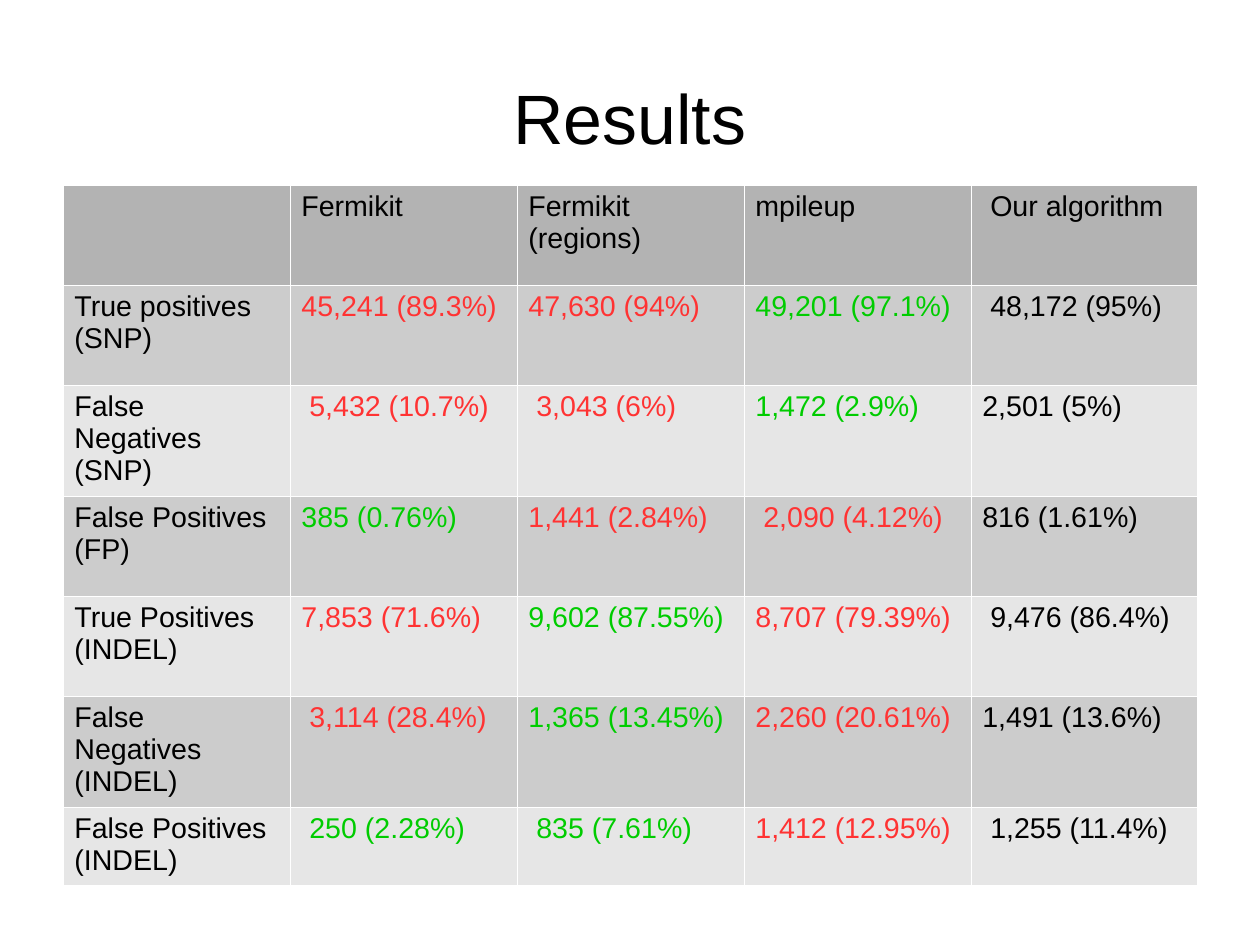
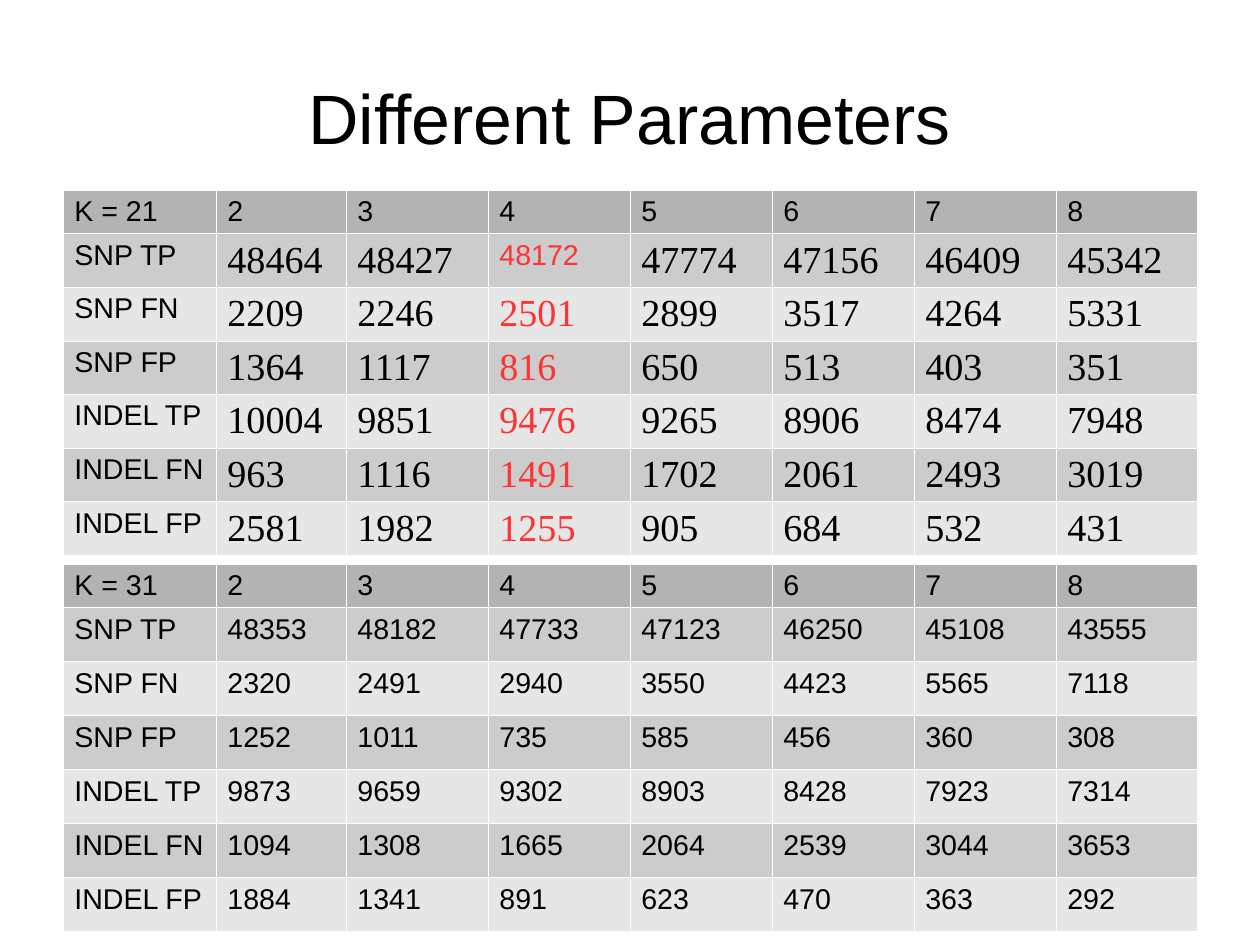
import pptx
import pptx.util
import pptx.dml.color
import pptx.enum.text
import pptx.oxml
import pptx.oxml.ns

RGB = pptx.dml.color.RGBColor
BLACK = RGB(0x00, 0x00, 0x00)
WHITE = RGB(0xFF, 0xFF, 0xFF)
RED = RGB(0xFF, 0x33, 0x33)
GREEN = RGB(0x00, 0xCC, 0x00)
HEAD = RGB(0xB3, 0xB3, 0xB3)
BANDS = (RGB(0xE6, 0xE6, 0xE6), RGB(0xCC, 0xCC, 0xCC))
SANS = "Arial"
SERIF = "Times New Roman"

# Content: scores of each caller, then scores by parameter
CALLERS = [
    ("", "Fermikit", "Fermikit (regions)", "mpileup", " Our algorithm"),
    ("True positives (SNP)", "45,241 (89.3%)", "47,630 (94%)",
     "49,201 (97.1%)", " 48,172 (95%)"),
    ("False Negatives (SNP)", " 5,432 (10.7%)", " 3,043 (6%)",
     "1,472 (2.9%)", "2,501 (5%)"),
    ("False Positives (FP)", "385 (0.76%)", "1,441 (2.84%)",
     " 2,090 (4.12%)", "816 (1.61%)"),
    ("True Positives (INDEL)", "7,853 (71.6%)", "9,602 (87.55%)",
     "8,707 (79.39%)", " 9,476 (86.4%)"),
    ("False Negatives (INDEL)", " 3,114 (28.4%)", "1,365 (13.45%)",
     "2,260 (20.61%)", "1,491 (13.6%)"),
    ("False Positives (INDEL)", " 250 (2.28%)", " 835 (7.61%)",
     "1,412 (12.95%)", " 1,255 (11.4%)"),
]
# One letter a cell: k black, r red (worse), g green (better)
MARKS = ("kkkkk", "krrgk", "krrgk", "kgrrk", "krgrk", "krgrk", "kggrk")
INKS = {"k": BLACK, "r": RED, "g": GREEN}

STEPS = (2, 3, 4, 5, 6, 7, 8)
NAMES = ("SNP TP", "SNP FN", "SNP FP", "INDEL TP", "INDEL FN", "INDEL FP")
K21 = [
    (48464, 48427, 48172, 47774, 47156, 46409, 45342),
    (2209, 2246, 2501, 2899, 3517, 4264, 5331),
    (1364, 1117, 816, 650, 513, 403, 351),
    (10004, 9851, 9476, 9265, 8906, 8474, 7948),
    (963, 1116, 1491, 1702, 2061, 2493, 3019),
    (2581, 1982, 1255, 905, 684, 532, 431),
]
K31 = [
    (48353, 48182, 47733, 47123, 46250, 45108, 43555),
    (2320, 2491, 2940, 3550, 4423, 5565, 7118),
    (1252, 1011, 735, 585, 456, 360, 308),
    (9873, 9659, 9302, 8903, 8428, 7923, 7314),
    (1094, 1308, 1665, 2064, 2539, 3044, 3653),
    (1884, 1341, 891, 623, 470, 363, 292),
]

# Shared layout, in pixels
LEFT, WIDE = 63, 1134
CALL_COLS = [227] * 4 + [226]
CALL_ROWS = [100, 100, 111, 100, 100, 111, 78]
STEP_COLS = [153, 130] + [142] * 5 + [141]


def px(n):
    return pptx.util.Emu(n * 8000)


def ink(par, face, size, color):
    par.font.name = face
    par.font.size = pptx.util.Pt(size)
    par.font.color.rgb = color


def add_page(deck, text):
    page = deck.slides.add_slide(deck.slide_layouts[5])
    title = page.shapes.title
    title.left, title.top = px(LEFT), px(38)
    title.width, title.height = px(WIDE), px(158)
    frame = title.text_frame
    frame.text = text
    frame.auto_size = pptx.enum.text.MSO_AUTO_SIZE.NONE
    frame.vertical_anchor = pptx.enum.text.MSO_ANCHOR.MIDDLE
    frame.margin_left = frame.margin_right = 0
    frame.margin_top = frame.margin_bottom = 0
    par = frame.paragraphs[0]
    par.alignment = pptx.enum.text.PP_ALIGN.CENTER
    ink(par, SANS, 44, BLACK)
    return page


def rule(cell):
    """Draw thin white borders; they must precede the fill."""
    props = cell._tc.get_or_add_tcPr()
    for i, side in enumerate(("lnL", "lnR", "lnT", "lnB")):
        line = pptx.oxml.parse_xml(
            f'<a:{side} {pptx.oxml.ns.nsdecls("a")} w="762"><a:solidFill>'
            f'<a:srgbClr val="{WHITE}"/></a:solidFill></a:{side}>')
        props.insert(i, line)


def add_grid(page, top, cols, rows, data, style):
    """style(row, col) gives the face, size and colour of a cell."""
    grid = page.shapes.add_table(
        len(rows), len(cols), px(LEFT), px(top),
        px(sum(cols)), px(sum(rows))).table
    grid.first_row = grid.horz_banding = False
    for col, width in zip(grid.columns, cols):
        col.width = px(width)
    for row, height in zip(grid.rows, rows):
        row.height = px(height)
    for r, line in enumerate(data):
        for c, text in enumerate(line):
            cell = grid.cell(r, c)
            cell.text = str(text)
            ink(cell.text_frame.paragraphs[0], *style(r, c))
            cell.fill.solid()
            cell.fill.fore_color.rgb = BANDS[r % 2] if r else HEAD
            rule(cell)


def by_step(k, data):
    return [(f"K = {k}", *STEPS)] + [
        (name, *vals) for name, vals in zip(NAMES, data)]


def call_style(r, c):
    return SANS, 18, INKS[MARKS[r][c]]


def pick_style(r, c):
    """Serif values, with the chosen step 4 in red."""
    if r == 0 or c == 0:
        return plain(r, c)
    if STEPS[c - 1] != 4:
        return SERIF, 24, BLACK
    return (SANS, 18, RED) if r == 1 else (SERIF, 24, RED)


def plain(r, c):
    return SANS, 18, BLACK


deck = pptx.Presentation()
deck.slide_width, deck.slide_height = px(1260), px(945)

# Results of the callers
page = add_page(deck, "Results")
add_grid(page, 185, CALL_COLS, CALL_ROWS, CALLERS, call_style)

# Scores for both values of K
page = add_page(deck, "Different Parameters")
add_grid(page, 190, STEP_COLS, [42] * 7, by_step(21, K21), pick_style)
add_grid(page, 564, STEP_COLS, [43] + [54] * 6, by_step(31, K31), plain)

deck.save("out.pptx")
